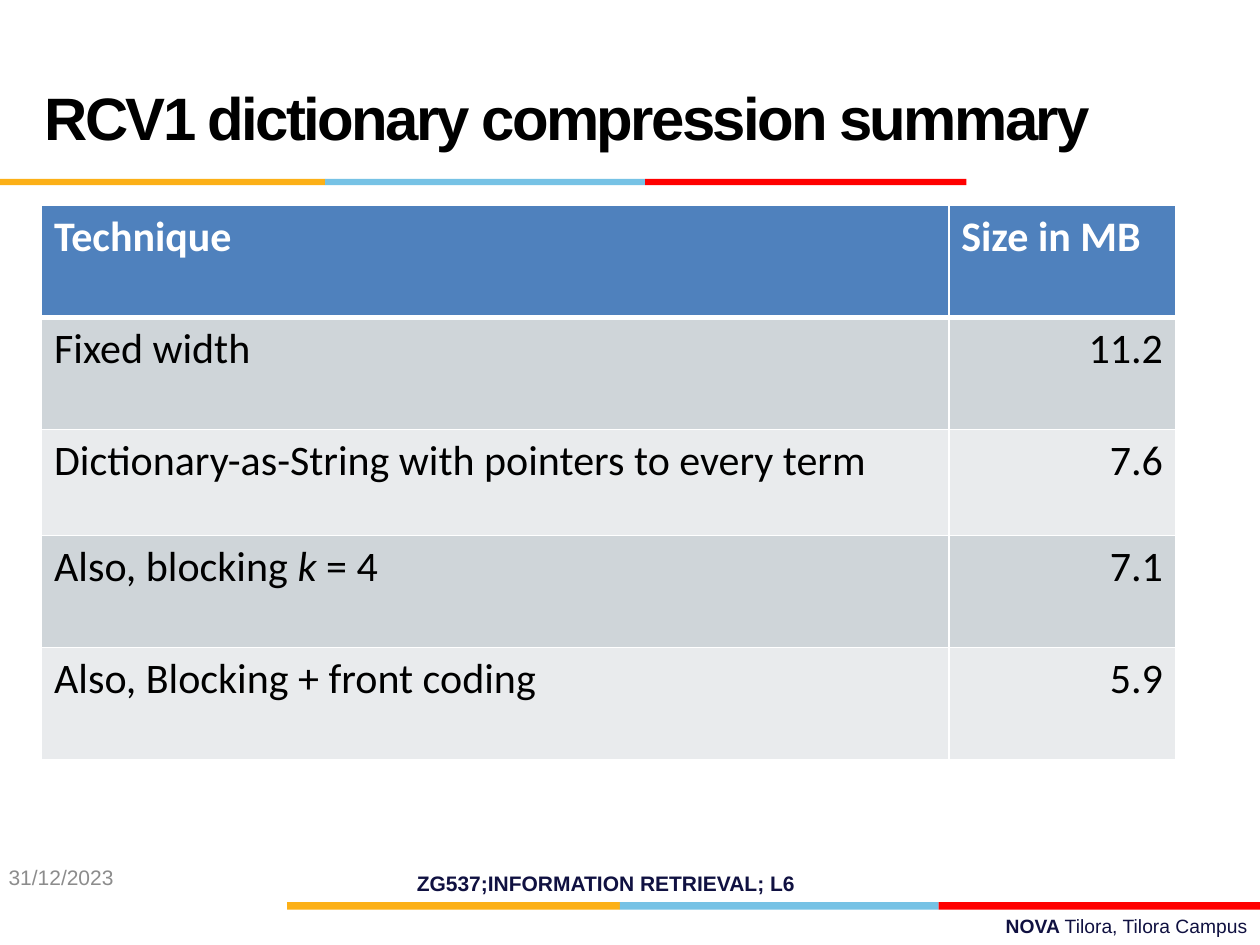
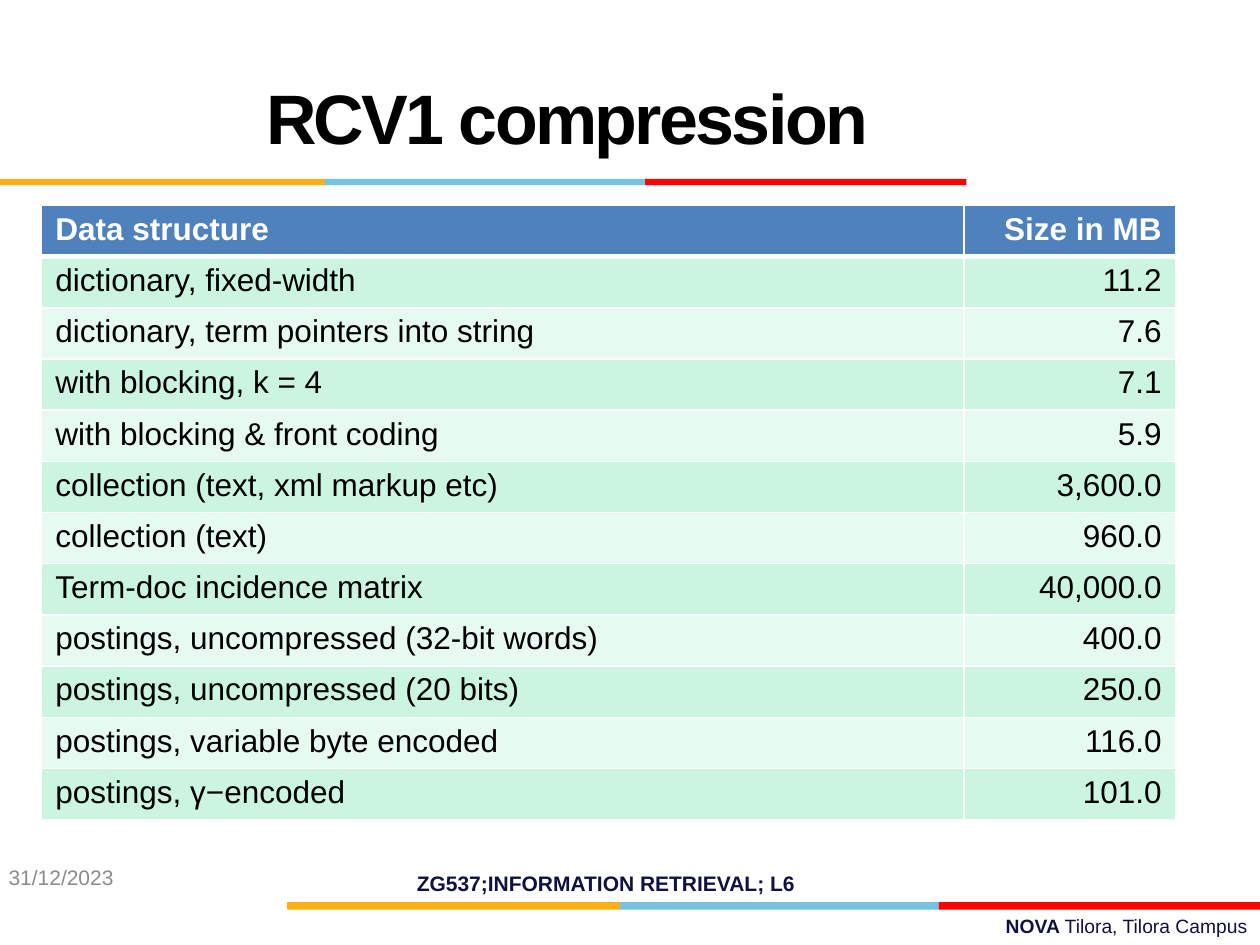
from dataclasses import dataclass
from itertools import accumulate

from lxml.etree import SubElement
from pptx import Presentation
from pptx.dml.color import RGBColor
from pptx.enum.shapes import MSO_SHAPE
from pptx.enum.text import MSO_ANCHOR, MSO_AUTO_SIZE, PP_ALIGN
from pptx.oxml.ns import qn
from pptx.util import Inches, Pt

COLORS = {
    "gold": "FCB017",
    "sky": "76C2E5",
    "red": "FF0000",
    "navy": "101141",
    "gray": "8C8C8C",
    "black": "000000",
    "white": "FFFFFF",
    "header": "4F81BD",
    "slate": "CFD5D9",
    "mist": "E9EBED",
    "mint": "CBF5E1",
    "pale mint": "E7FAF1",
}
FONT = "Arial"
TITLE_ONLY = 5
BAND_COLORS = ("gold", "sky", "red")


@dataclass(frozen=True)
class Span:
    text: str
    bold: bool = False
    italic: bool = False


@dataclass(frozen=True)
class Band:
    left: float
    top: float
    widths: tuple[float, ...]
    height: float


@dataclass(frozen=True)
class Label:
    spans: tuple[Span, ...]
    left: float
    top: float
    width: float
    height: float
    size: float
    color: str
    align: PP_ALIGN
    anchor: MSO_ANCHOR = MSO_ANCHOR.MIDDLE


@dataclass(frozen=True)
class SizeTable:
    title: str
    title_size: float
    rows: tuple[tuple[str | tuple[Span, ...], str], ...]
    column_widths: tuple[float, float]
    row_heights: tuple[float, ...]
    stripes: tuple[str, str]
    font: str
    size: float
    margin: float
    header_align: PP_ALIGN


BANDS = (
    Band(0, 1.42, (2.58, 2.54, 2.55), 0.05),
    Band(2.28, 7.16, (2.64, 2.53, 2.55), 0.06),
)
LABELS = (
    Label((Span("NOVA ", bold=True), Span("Tilora, Tilora Campus")),
          3.58, 7.21, 6.42, 0.29, 11, "navy", PP_ALIGN.RIGHT, MSO_ANCHOR.TOP),
    Label((Span("31/12/2023"),), -0.03, 6.76, 2.33, 0.4, 12, "gray", PP_ALIGN.LEFT),
    Label((Span("ZG537;INFORMATION RETRIEVAL; L6", bold=True),),
          2.83, 6.81, 3.96, 0.4, 12, "navy", PP_ALIGN.CENTER),
)
SIZE_TABLES = (
    SizeTable(
        title="RCV1 dictionary compression summary",
        title_size=34.2,
        rows=(
            ("Technique", "Size in MB"),
            ("Fixed width", "11.2"),
            ("Dictionary-as-String with pointers to every term", "7.6"),
            ((Span("Also, blocking "), Span("k ", italic=True), Span("= 4")), "7.1"),
            ("Also, Blocking + front coding", "5.9"),
        ),
        column_widths=(7.2, 1.8),
        row_heights=(0.89, 0.89, 0.84, 0.89, 0.89),
        stripes=("slate", "mist"),
        font="Calibri",
        size=24,
        margin=0.1,
        header_align=PP_ALIGN.LEFT,
    ),
    SizeTable(
        title="RCV1 compression",
        title_size=40,
        rows=(
            ("Data structure", "Size in MB"),
            ("dictionary, fixed-width", "11.2"),
            ("dictionary, term pointers into string", "7.6"),
            ("with blocking, k = 4", "7.1"),
            ("with blocking & front coding", "5.9"),
            ("collection (text, xml markup etc)", "3,600.0"),
            ("collection (text)", "960.0"),
            ("Term-doc incidence matrix", "40,000.0"),
            ("postings, uncompressed (32-bit words)", "400.0"),
            ("postings, uncompressed (20 bits)", "250.0"),
            ("postings, variable byte encoded", "116.0"),
            ("postings, γ−encoded", "101.0"),
        ),
        column_widths=(7.32, 1.68),
        row_heights=(4.88 / 12,) * 12,
        stripes=("mint", "pale mint"),
        font=FONT,
        size=18,
        margin=0.11,
        header_align=PP_ALIGN.RIGHT,
    ),
)


def rgb(name: str) -> RGBColor:
    return RGBColor.from_string(COLORS[name])


def write(para, spans: tuple[Span, ...], font: str, size: float, color: str, align: PP_ALIGN) -> None:
    para.alignment = align
    para.font.name = font
    para.font.size = Pt(size)
    para.font.color.rgb = rgb(color)
    for part in spans:
        span = para.add_run()
        span.text = part.text
        span.font.bold = part.bold
        span.font.italic = part.italic


def draw_band(page, band: Band) -> None:
    lefts = accumulate(band.widths, initial=band.left)
    for left, width, color in zip(lefts, band.widths, BAND_COLORS):
        box = page.shapes.add_shape(MSO_SHAPE.RECTANGLE, Inches(left), Inches(band.top),
                                    Inches(width), Inches(band.height))
        box.shadow.inherit = False
        box.fill.solid()
        box.fill.fore_color.rgb = rgb(color)
        box.line.fill.background()


def draw_label(page, label: Label) -> None:
    box = page.shapes.add_textbox(Inches(label.left), Inches(label.top),
                                  Inches(label.width), Inches(label.height))
    frame = box.text_frame
    frame.word_wrap = True
    frame.vertical_anchor = label.anchor
    write(frame.paragraphs[0], label.spans, FONT, label.size, label.color, label.align)


def draw_title(page, text: str, size: float) -> None:
    title = page.shapes.title
    title.left, title.top = Inches(0), Inches(0.3)
    title.width, title.height = Inches(9), Inches(1.25)
    frame = title.text_frame
    frame.auto_size = MSO_AUTO_SIZE.NONE
    frame.vertical_anchor = MSO_ANCHOR.MIDDLE
    para = frame.paragraphs[0]
    write(para, (Span(text, bold=True),), FONT, size, "black", PP_ALIGN.CENTER)
    para.runs[0].font._element.set("spc", "-150")


def set_borders(cell, widths: dict[str, float]) -> None:
    properties = cell._tc.get_or_add_tcPr()
    for side, width in widths.items():
        line = SubElement(properties, qn(f"a:ln{side}"), w=str(Pt(width)))
        fill = SubElement(line, qn("a:solidFill"))
        SubElement(fill, qn("a:srgbClr"), val=COLORS["white"])


def draw_table(page, sheet: SizeTable) -> None:
    frame = page.shapes.add_table(len(sheet.rows), len(sheet.column_widths), Inches(0.33), Inches(1.63),
                                  Inches(sum(sheet.column_widths)), Inches(sum(sheet.row_heights)))
    table = frame.table
    for column, width in zip(table.columns, sheet.column_widths):
        column.width = Inches(width)
    for row, height in zip(table.rows, sheet.row_heights):
        row.height = Inches(height)
    for i, entries in enumerate(sheet.rows):
        is_header = i == 0
        fill = "header" if is_header else sheet.stripes[(i - 1) % 2]
        aligns = (PP_ALIGN.LEFT, sheet.header_align if is_header else PP_ALIGN.RIGHT)
        for j, (entry, align) in enumerate(zip(entries, aligns)):
            cell = table.cell(i, j)
            set_borders(cell, {"L": 1, "R": 1, "T": 3 if i == 1 else 1, "B": 3 if is_header else 1})
            cell.fill.solid()
            cell.fill.fore_color.rgb = rgb(fill)
            cell.margin_left = cell.margin_right = Inches(sheet.margin)
            spans = (Span(entry, bold=is_header),) if isinstance(entry, str) else entry
            write(cell.text_frame.paragraphs[0], spans, sheet.font, sheet.size,
                  "white" if is_header else "black", align)


def main() -> None:
    deck = Presentation()
    deck.slide_width, deck.slide_height = Inches(10), Inches(7.5)
    for sheet in SIZE_TABLES:
        page = deck.slides.add_slide(deck.slide_layouts[TITLE_ONLY])
        for band in BANDS:
            draw_band(page, band)
        draw_table(page, sheet)
        draw_title(page, sheet.title, sheet.title_size)
        for label in LABELS:
            draw_label(page, label)
    deck.save("out.pptx")


if __name__ == "__main__":
    main()
